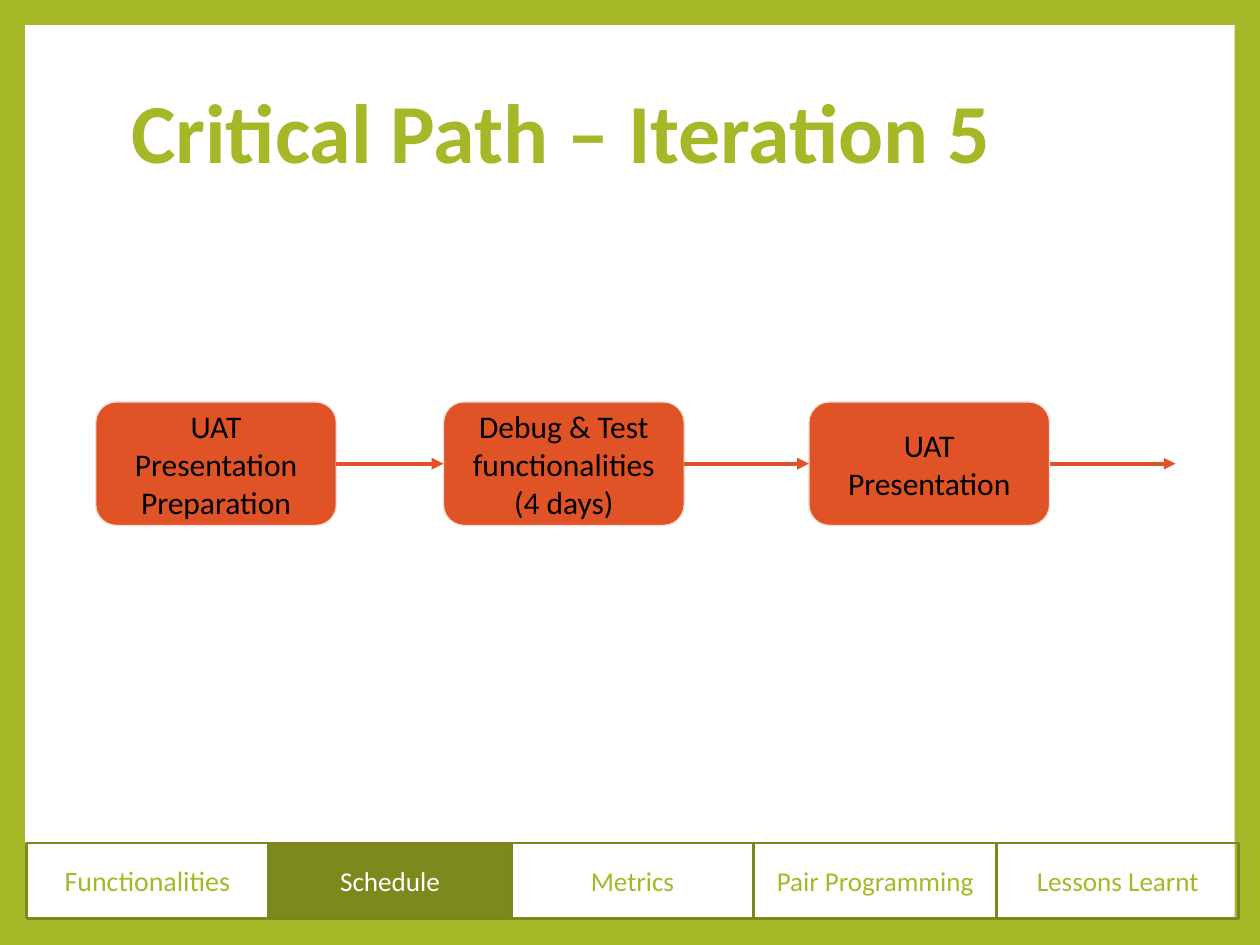
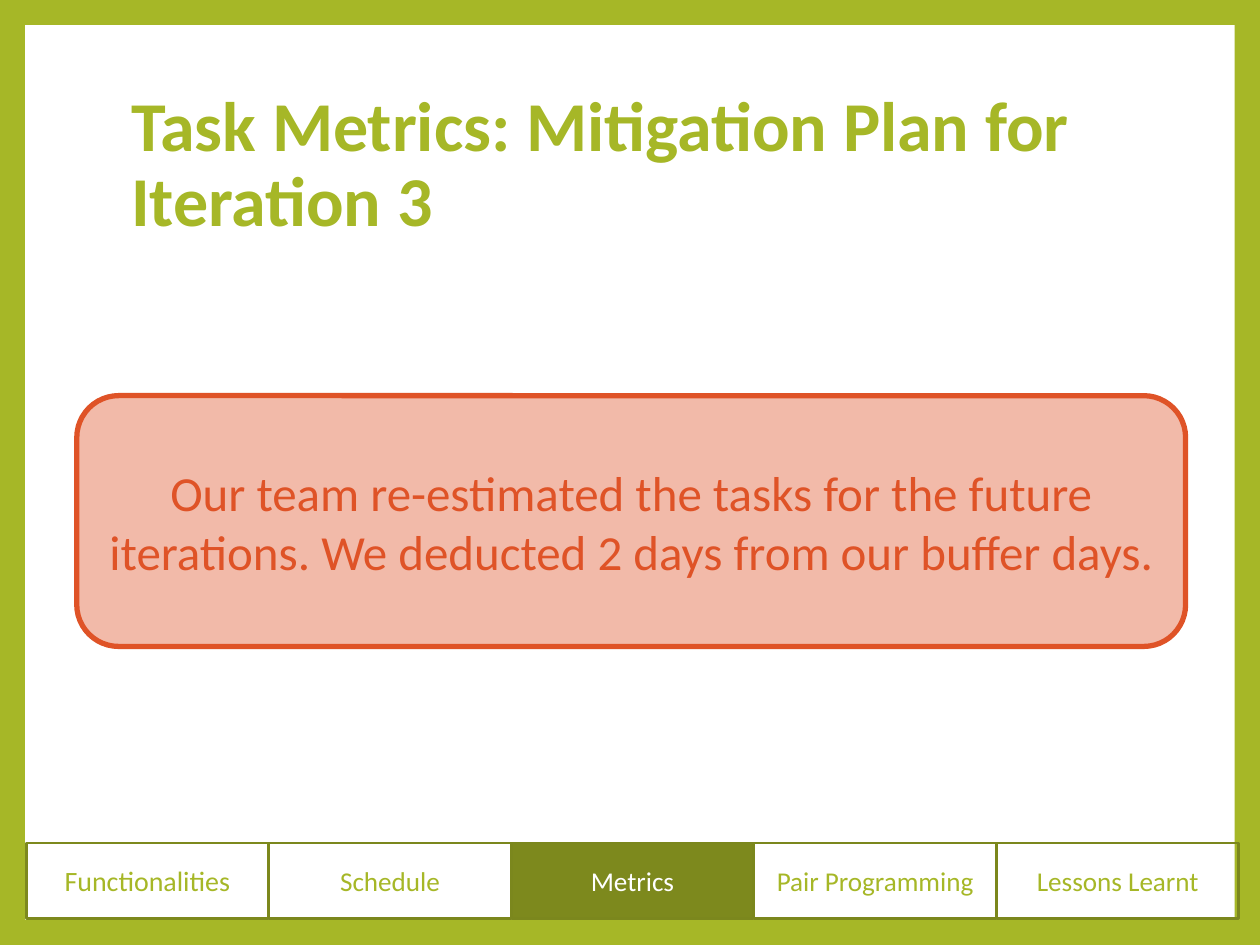
from lxml.etree import SubElement
from pptx import Presentation
from pptx.dml.color import RGBColor
from pptx.enum.shapes import MSO_CONNECTOR, MSO_SHAPE
from pptx.enum.text import MSO_ANCHOR, MSO_AUTO_SIZE, PP_ALIGN
from pptx.oxml.ns import qn
from pptx.util import Inches, Pt

FONT = "Calibri"
GREEN, OLIVE, OLIVE_LINE = "A6B727", "7D891D", "7B871D"
ORANGE, PALE_ORANGE, ORANGE_EDGE = "DF5327", "F2BAA9", "F9DDD4"
WHITE, BLACK = "FFFFFF", "000000"
TABS = ["Functionalities", "Schedule", "Metrics", "Pair Programming", "Lessons Learnt"]
TAB_LEFT, TAB_TOP, TAB_WIDTH, TAB_HEIGHT, TAB_STEP = 0.21, 6.69, 1.92, 0.6, 1.925
STEP_TOP, STEP_WIDTH, STEP_HEIGHT = 3.19, 1.91, 0.98
RIGHT_SITE, LEFT_SITE = 3, 1


def rgb(color):
    return RGBColor.from_string(color)


class Deck:
    def __init__(self):
        self.prs = Presentation()
        self.prs.slide_width, self.prs.slide_height = Inches(10), Inches(7.5)
        fill = self.prs.slide_master.background.fill
        fill.solid()
        fill.fore_color.rgb = rgb(GREEN)

    def slide(self, title, size, active):
        self.s = self.prs.slides.add_slide(self.prs.slide_layouts[5])
        panel = self.box(MSO_SHAPE.RECTANGLE, 0.2, 0.2, 9.6, 7.1, fill=WHITE)
        self.s.shapes.title._element.addprevious(panel._element)
        self.title(title, size)
        self.tabs(active)

    def title(self, text, size):
        sp = self.s.shapes.title
        sp.left, sp.top, sp.width, sp.height = map(Inches, (0.94, 0.67, 8.1, 1.48))
        tf = sp.text_frame
        tf.word_wrap = True
        tf.auto_size = MSO_AUTO_SIZE.NONE
        tf.vertical_anchor = MSO_ANCHOR.TOP
        self.text(tf, text, size, GREEN, PP_ALIGN.LEFT, bold=True)
        tf.paragraphs[0].line_spacing = 0.9

    def text(self, tf, text, size, color, align=PP_ALIGN.CENTER, bold=False):
        tf.text = text
        for p in tf.paragraphs:
            p.alignment = align
            for r in p.runs:
                r.font.name, r.font.size, r.font.bold = FONT, Pt(size), bold
                r.font.color.rgb = rgb(color)

    def box(self, kind, left, top, width, height, fill=None, line=None,
            weight=1, text="", size=18, color=BLACK, inset=0.1, shapes=None):
        shapes = shapes or self.s.shapes
        sp = shapes.add_shape(kind, *map(Inches, (left, top, width, height)))
        sp.shadow.inherit = False
        if fill:
            sp.fill.solid()
            sp.fill.fore_color.rgb = rgb(fill)
        else:
            sp.fill.background()
        if line:
            sp.line.color.rgb = rgb(line)
            sp.line.width = Pt(weight)
        else:
            sp.line.fill.background()
        if text:
            tf = sp.text_frame
            tf.word_wrap = True
            tf.vertical_anchor = MSO_ANCHOR.MIDDLE
            tf.margin_left = tf.margin_right = Inches(inset)
            tf.margin_top = tf.margin_bottom = Inches(min(inset, 0.07))
            self.text(tf, text, size, color)
        return sp

    def tabs(self, active):
        group = self.s.shapes.add_group_shape()
        for i, name in enumerate(TABS):
            on = name == active
            self.box(MSO_SHAPE.RECTANGLE, TAB_LEFT + i * TAB_STEP, TAB_TOP,
                     TAB_WIDTH, TAB_HEIGHT, fill=OLIVE if on else None,
                     line=OLIVE_LINE if i else OLIVE, weight=1.5, text=name,
                     size=15.5 if i else 16, color=WHITE if on else GREEN,
                     shapes=group.shapes)

    def step(self, left, text):
        return self.box(MSO_SHAPE.ROUNDED_RECTANGLE, left, STEP_TOP, STEP_WIDTH,
                        STEP_HEIGHT, fill=ORANGE, line=ORANGE_EDGE, weight=0.75,
                        text=text, inset=0.07)

    def arrow(self, start, end=None):
        y = Inches(STEP_TOP + STEP_HEIGHT / 2)
        x = start.left + start.width
        cx = self.s.shapes.add_connector(MSO_CONNECTOR.STRAIGHT, x, y, x + Inches(1), y)
        cx.begin_connect(start, RIGHT_SITE)
        if end:
            cx.end_connect(end, LEFT_SITE)
        cx.line.color.rgb = rgb(ORANGE)
        cx.line.width = Pt(2.25)
        SubElement(cx.line._get_or_add_ln(), qn("a:tailEnd"), type="triangle")
        SubElement(cx._element.spPr, qn("a:effectLst"))


def critical_path(deck):
    deck.slide("Critical Path – Iteration 5", 48, "Schedule")
    steps = [deck.step(left, text) for left, text in (
        (0.76, "UAT Presentation Preparation"),
        (3.52, "Debug & Test functionalities\n(4 days)"),
        (6.42, "UAT Presentation"))]
    for start, end in zip(steps, steps[1:] + [None]):
        deck.arrow(start, end)


def mitigation_plan(deck):
    deck.slide("Task Metrics: Mitigation Plan for Iteration 3", 40, "Metrics")
    deck.box(MSO_SHAPE.ROUNDED_RECTANGLE, 0.61, 3.14, 8.8, 1.99,
             fill=PALE_ORANGE, line=ORANGE, weight=3, size=28, color=ORANGE,
             text="Our team re-estimated the tasks for the future iterations. "
                  "We deducted 2 days from our buffer days.")


def main():
    deck = Deck()
    critical_path(deck)
    mitigation_plan(deck)
    deck.prs.save("out.pptx")


if __name__ == "__main__":
    main()
